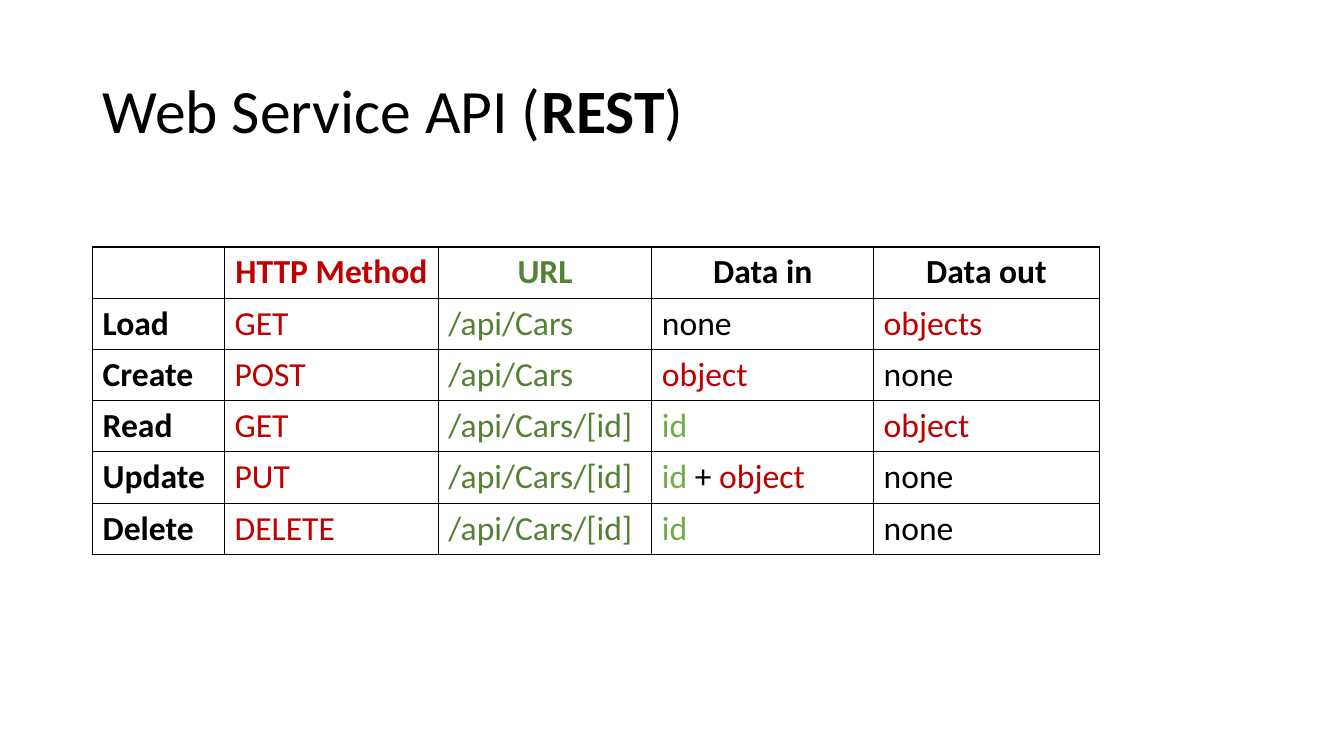
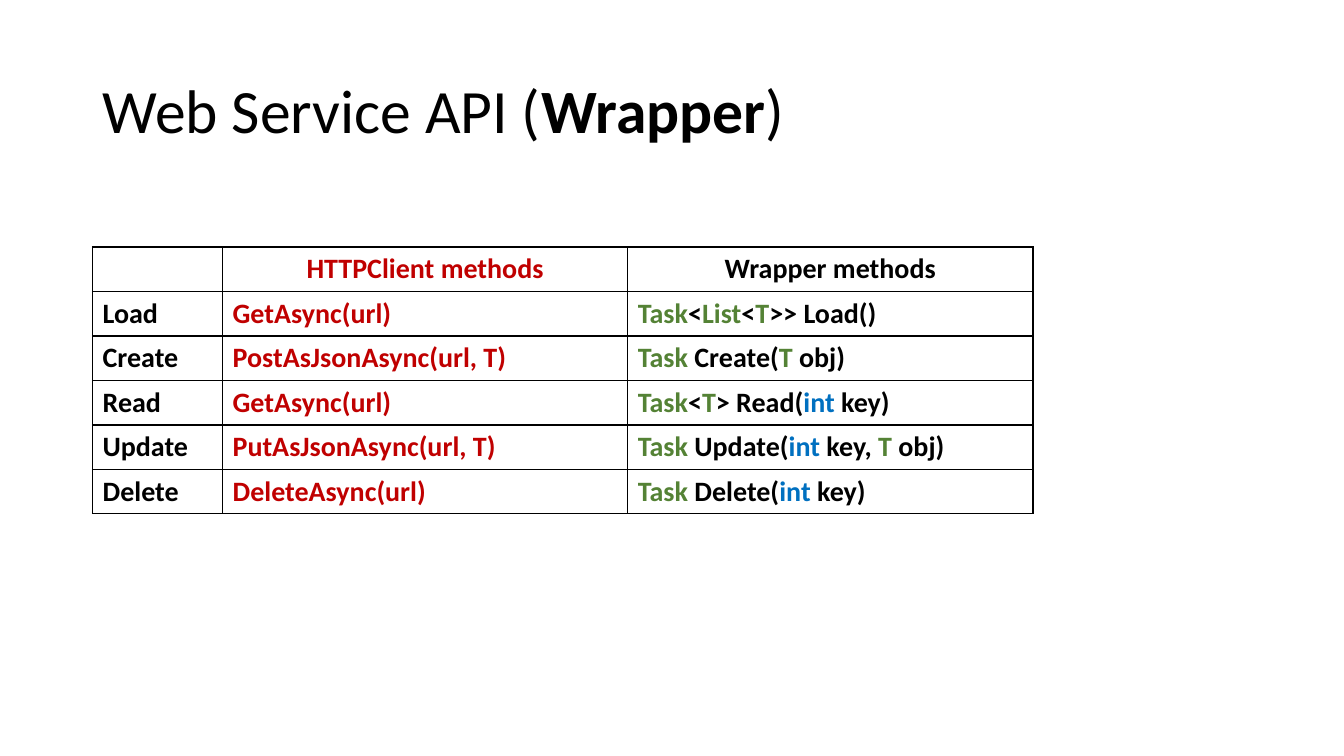
from lxml import etree
from pptx import Presentation
from pptx.dml.color import RGBColor
from pptx.enum.text import MSO_ANCHOR, PP_ALIGN
from pptx.oxml.ns import qn
from pptx.util import Pt

CENTER, LEFT = PP_ALIGN.CENTER, PP_ALIGN.LEFT
MIDDLE = MSO_ANCHOR.MIDDLE
BLANK_LAYOUT = 6

BLACK, RED, GREEN = "000000", "C00000", "548235"
LIGHT_GREEN, BLUE = "70AD47", "0070C0"


def color(code):
    """Turn a hex string into a colour."""
    return RGBColor.from_string(code)


def red(text):
    """Give a span in red."""
    return text, RED


def green(text):
    """Give a span in green."""
    return text, GREEN


def blue(text):
    """Give a span in blue."""
    return text, BLUE


class SlideWriter:
    """Holds the shared style and the slide being built."""

    font = "Calibri"
    title_size = 44
    left = 66.1
    table_top = 176.4

    def __init__(self, deck):
        """Start writing in the given deck."""
        self.deck = deck
        self.page = None

    def add_page(self, topic):
        """Add a slide whose title ends in a bold topic."""
        layout = self.deck.slide_layouts[BLANK_LAYOUT]
        self.page = self.deck.slides.add_slide(layout)
        box = self.page.shapes.add_textbox(
            Pt(self.left), Pt(28.75), Pt(828), Pt(104.4))
        frame = box.text_frame
        frame.word_wrap = True
        frame.vertical_anchor = MIDDLE
        para = frame.paragraphs[0]
        para.line_spacing = 0.9
        self.add_span(para, "Web Service API (", self.title_size)
        self.add_span(para, topic, self.title_size, bold=True)
        self.add_span(para, ")", self.title_size)

    def add_span(self, para, text, size, code=BLACK, bold=False):
        """Add one styled run to a paragraph."""
        span = para.add_run()
        span.text = text
        span.font.name = self.font
        span.font.size = Pt(size)
        span.font.bold = bold
        span.font.color.rgb = color(code)

    def add_borders(self, cell):
        """Draw a thin black line on each side of a cell."""
        properties = cell._tc.get_or_add_tcPr()
        for place, side in enumerate(("a:lnL", "a:lnR", "a:lnT", "a:lnB")):
            line = etree.Element(qn(side), w=str(Pt(1)))
            fill = etree.SubElement(line, qn("a:solidFill"))
            etree.SubElement(fill, qn("a:srgbClr"), val=BLACK)
            properties.insert(place, line)

    def add_table(self, rows, widths, row_height, size, bold_body):
        """Add a bordered table; a cell is a list of strings or colour spans."""
        frame = self.page.shapes.add_table(
            len(rows), len(widths), Pt(self.left), Pt(self.table_top),
            Pt(sum(widths)), Pt(row_height * len(rows)))
        table = frame.table
        table.first_row = table.horz_banding = False
        for column, width in zip(table.columns, widths):
            column.width = Pt(width)
        for r, row in enumerate(rows):
            table.rows[r].height = Pt(row_height)
            for c, spans in enumerate(row):
                cell = table.cell(r, c)
                cell.fill.background()
                self.add_borders(cell)
                para = cell.text_frame.paragraphs[0]
                para.alignment = CENTER if r == 0 else LEFT
                bold = bold_body or r == 0 or c == 0
                for span in spans:
                    text, code = (span, BLACK) if isinstance(span, str) else span
                    self.add_span(para, text, size, code, bold)


deck = Presentation()
deck.slide_width, deck.slide_height = Pt(960), Pt(540)
writer = SlideWriter(deck)

ID = ("id", LIGHT_GREEN)
ALL_CARS, ONE_CAR = green("/api/Cars"), green("/api/Cars/[id]")
TASK, TYPE = green("Task"), green("T")

rest_rows = [
    [[], [red("HTTP Method")], [green("URL")], ["Data in"], ["Data out"]],
    [["Load"], [red("GET")], [ALL_CARS], ["none"], [red("objects")]],
    [["Create"], [red("POST")], [ALL_CARS], [red("object")], ["none"]],
    [["Read"], [red("GET")], [ONE_CAR], [ID], [red("object")]],
    [["Update"], [red("PUT")], [ONE_CAR], [ID, " + ", red("object")], ["none"]],
    [["Delete"], [red("DELETE")], [ONE_CAR], [ID], ["none"]],
]
writer.add_page("REST")
writer.add_table(rest_rows, [94.32, 152.64, 152.64, 158.4, 161.28],
                 row_height=36.6, size=24, bold_body=False)

wrapper_rows = [
    [[], [red("HTTPClient methods")], ["Wrapper methods"]],
    [["Load"], [red("GetAsync(url)")],
     [TASK, "<", green("List"), "<", TYPE, ">> Load()"]],
    [["Create"], [red("PostAsJsonAsync(url, T)")],
     [TASK, " Create(", TYPE, " obj)"]],
    [["Read"], [red("GetAsync(url)")],
     [TASK, "<", TYPE, "> Read(", blue("int "), "key)"]],
    [["Update"], [red("PutAsJsonAsync(url, T)")],
     [TASK, " Update(", blue("int"), " key, ", TYPE, " obj)"]],
    [["Delete"], [red("DeleteAsync(url)")],
     [TASK, " Delete(", blue("int"), " key)"]],
]
writer.add_page("Wrapper")
writer.add_table(wrapper_rows, [92.88, 289.44, 289.44],
                 row_height=31.8, size=20, bold_body=True)

deck.save("out.pptx")
